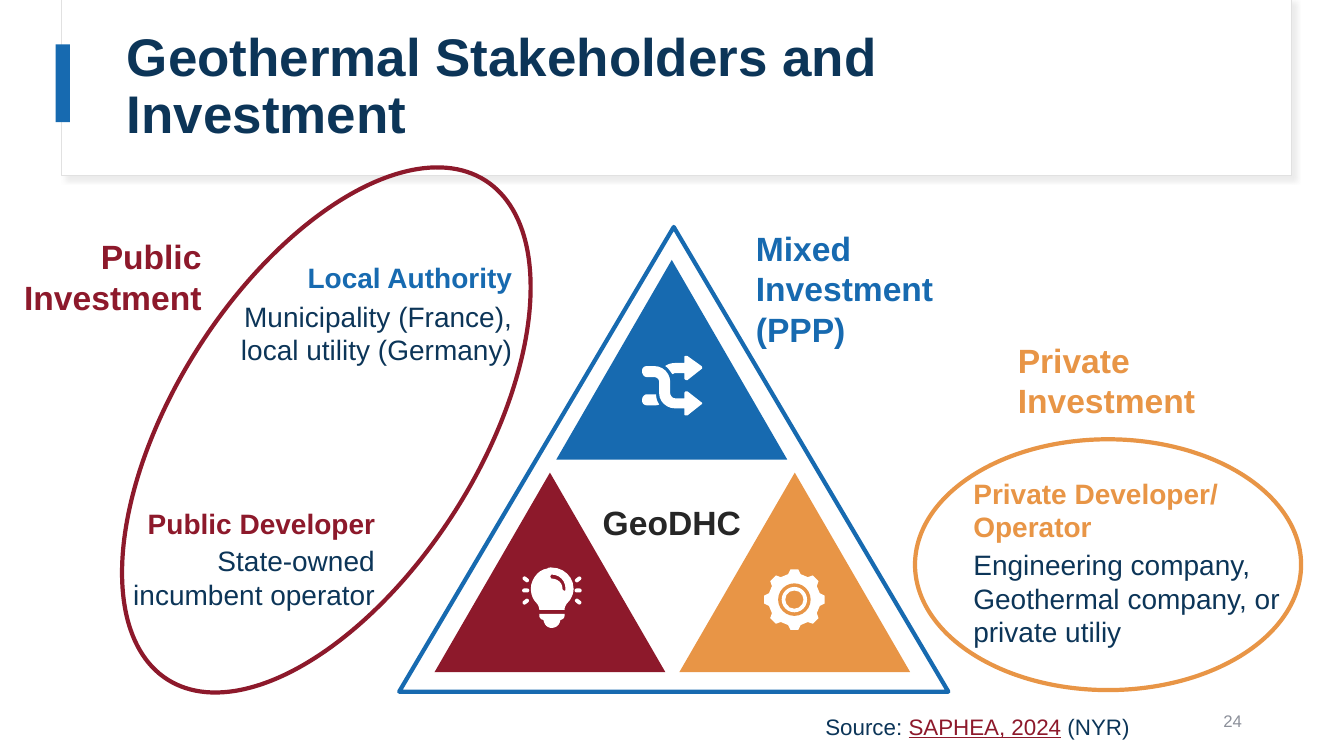
from dataclasses import dataclass
from math import cos, radians, sin

from lxml.etree import SubElement
from pptx import Presentation
from pptx.dml.color import RGBColor as Rgb
from pptx.enum.shapes import MSO_SHAPE as Preset
from pptx.enum.text import MSO_ANCHOR as Anchor, MSO_AUTO_SIZE as AutoSize, PP_ALIGN as Align
from pptx.oxml.ns import qn
from pptx.util import Cm, Pt


@dataclass(frozen=True)
class Theme:
    font: str = "Arial"
    navy: str = "0C3558"
    blue: str = "176AB0"
    red: str = "8D192B"
    orange: str = "E89546"
    ink: str = "262626"
    grey: str = "8C909A"
    edge: str = "E1E1E1"
    shade: str = "D9D9D9"
    white: str = "FFFFFF"
    title: float = 37.8
    label: float = 24
    body: float = 20
    source: float = 16
    number: float = 12
    outline: float = 3


theme = Theme()

TITLE = "Geothermal Stakeholders and\nInvestment"
CENTRE = "GeoDHC"
SOURCE = [("Source: ", theme.navy, False), ("SAPHEA, 2024", theme.red, True), (" (NYR)", theme.navy, False)]
PAGE = "24"

INVESTMENTS = [
    ("Public\nInvestment", theme.red, (0.3, 5.82, 5.03, 2.31), Align.RIGHT),
    ("Private\nInvestment", theme.orange, (25.4, 8.43, 5.03, 2.31), Align.LEFT),
    ("Mixed\nInvestment\n(PPP)", theme.blue, (18.8, 5.61, 5.03, 3.33), Align.LEFT),
]
STAKEHOLDERS = [
    ("Local Authority", theme.blue, (5.77, 6.4, 7.39, 1.17),
     "Municipality (France), local utility (Germany)", (4.93, 7.47, 8.23, 2.01), Align.RIGHT),
    ("Public Developer", theme.red, (3.28, 12.6, 6.43, 1.17),
     "State-owned incumbent operator", (2.54, 13.61, 7.16, 2.03), Align.RIGHT),
    ("Private Developer/ Operator", theme.orange, (24.28, 11.91, 7.39, 1.88),
     "Engineering company, Geothermal company, or private utiliy", (24.28, 13.82, 8.23, 2.77), Align.LEFT),
]
TRIANGLE = (5.82, 5.03)
TRIANGLES = [(14.02, 6.55, theme.blue), (10.95, 11.91, theme.red), (17.12, 11.91, theme.orange)]
RINGS = [((4.39, 3.38, 7.67, 14.91), 32.5, theme.red), ((23.06, 11.07, 9.73, 6.32), 0, theme.orange)]

SHUFFLE_AT = (16.18, 8.97)
SHUFFLE = [
    "M 5 10 C 2 10 0 12 0 15 C 0 18 2 21 5 21 L 12 21 C 15 21 17 23 17 26 L 17 37 C 17 45 24 52 33 52 "
    "L 42 52 L 42 58 C 42 59 43 59 44 59 L 45 59 L 59 48 C 60 48 60 46 59 46 L 45 35 L 44 35 "
    "C 43 35 42 36 42 37 L 42 42 L 33 42 C 30 42 28 39 28 37 L 28 26 C 28 17 21 10 12 10",
    "M 14 38 L 5 38 C 2 38 0 41 0 44 C 0 47 2 49 5 49 L 12 49 C 14 49 16 49 17 48 C 15 45 14 42 14 38",
    "M 44 0 C 43 0 42 0 42 1 L 42 7 L 33 7 C 29 7 26 8 23 10 C 26 12 28 15 30 18 C 31 18 32 17 33 17 "
    "L 42 17 L 42 22 C 42 23 43 24 44 24 L 45 24 L 59 13 C 60 13 60 11 59 10 L 45 0",
]
BULB_AT = (13.16, 14.3)
BULB = [
    "M 17 46 L 17 48 C 17 50 19 52 21 52 C 22 57 25 60 29 60 C 34 60 37 57 38 52 C 40 52 42 50 42 48 L 42 46",
    "M 29 0 C 28 0 26 0 25 1 C 17 2 11 9 9 17 C 8 23 9 30 14 35 C 16 37 17 40 17 42 L 42 42 "
    "C 42 40 43 37 45 35 C 49 31 51 26 51 21 C 51 9 41 0 29 0 "
    "M 29 7 C 37 7 43 13 43 21 C 43 22 43 23 42 23 C 41 23 40 22 40 21 C 40 15 35 11 29 11 "
    "C 29 11 28 10 28 9 C 28 8 29 7 29 7",
]
BULB_WIDTH = 1.5
RAY = (0.18, 0.1)
RAYS = [(0.3, 38), (0.58, 0), (0.86, -38)]
GEAR_CENTRE = (20.02, 15.11)
TOOTH = [(-0.16, 0.64), (-0.1, 0.76), (0.1, 0.76), (0.16, 0.64)]
TEETH = 8
HUB, COG_RING = 0.41, 0.32

deck = Presentation()
deck.slide_width, deck.slide_height = Cm(33.87), Cm(19.05)
slide = deck.slides.add_slide(deck.slide_layouts[6])


def paint(figure, fill=None, line=None, width=theme.outline):
    figure.shadow.inherit = False
    if fill:
        figure.fill.solid()
        figure.fill.fore_color.rgb = Rgb.from_string(fill)
    else:
        figure.fill.background()
    if line:
        figure.line.color.rgb = Rgb.from_string(line)
        figure.line.width = Pt(width)
    else:
        figure.line.fill.background()
    return figure


def draw(preset, place, **look):
    return paint(slide.shapes.add_shape(preset, *map(Cm, place)), **look)


def write(text, place, *, size, color=theme.navy, bold=False, align=Align.LEFT,
          anchor=Anchor.TOP, wrap=True, inset=0.13, spacing=None):
    box = slide.shapes.add_textbox(*map(Cm, place))
    frame = box.text_frame
    frame.word_wrap = wrap
    frame.auto_size = AutoSize.NONE if wrap else AutoSize.SHAPE_TO_FIT_TEXT
    frame.vertical_anchor = anchor
    frame.margin_top = frame.margin_bottom = Cm(inset)
    paragraph = frame.paragraphs[0]
    paragraph.alignment = align
    if spacing:
        paragraph.line_spacing = spacing
    pieces = [(text, color, False)] if isinstance(text, str) else text
    for words, tint, underline in pieces:
        for row, part in enumerate(words.split("\n")):
            if row:
                paragraph.add_line_break()
            run = paragraph.add_run()
            run.text = part
            run.font.name, run.font.size, run.font.bold = theme.font, Pt(size), bold
            run.font.underline = underline
            run.font.color.rgb = Rgb.from_string(tint)


def contours(outline, steps=6):
    for contour in outline.split("M")[1:]:
        start, *segments = contour.replace("C", "L").split("L")
        points = [tuple(map(int, start.split()))]
        for segment in segments:
            values = list(map(int, segment.split()))
            ends = list(zip(values[::2], values[1::2]))
            if len(ends) == 1:
                points += ends
                continue
            curve = [points[-1], *ends]
            for step in range(1, steps + 1):
                t = step / steps
                weights = ((1 - t) ** 3, 3 * t * (1 - t) ** 2, 3 * t * t * (1 - t), t ** 3)
                points.append(tuple(sum(w * p[axis] for w, p in zip(weights, curve)) for axis in (0, 1)))
        yield points


def trace(loops, at, unit):
    left, top = map(Cm, at)
    scaled = [[(left + x * unit, top + y * unit) for x, y in loop] for loop in loops]
    builder = slide.shapes.build_freeform(*scaled[0][0], scale=1.0)
    for index, loop in enumerate(scaled):
        if index:
            builder.move_to(*loop[0])
        builder.add_line_segments(loop[1:], close=True)
    paint(builder.convert_to_shape(), fill=theme.white)


def circle(radius):
    x, y = GEAR_CENTRE
    return x - radius, y - radius, 2 * radius, 2 * radius


card = draw(Preset.RECTANGLE, (1.55, 0, 31.01, 4.42), fill=theme.white, line=theme.edge, width=0.75)
effects = card._element.spPr.find(qn("a:effectLst"))
shadow = SubElement(effects, qn("a:outerShdw"), blurRad=str(Pt(4)), dist=str(Pt(3)), dir="2700000")
shade = SubElement(shadow, qn("a:srgbClr"), val=theme.shade)
SubElement(shade, qn("a:alpha"), val="50000")
draw(Preset.RECTANGLE, (1.4, 1.12, 0.36, 1.96), fill=theme.blue)
write(TITLE, (2.95, 0.58, 28.24, 3.25), size=theme.title, bold=True, anchor=Anchor.MIDDLE, spacing=0.9)

for left, top, tint in TRIANGLES:
    draw(Preset.ISOSCELES_TRIANGLE, (left, top, *TRIANGLE), fill=tint)
frame_triangle = draw(Preset.ISOSCELES_TRIANGLE, (10.06, 5.72, 13.84, 11.71), line=theme.blue)
frame_triangle.adjustments[0] = 0.5

for icon, at in ((SHUFFLE, SHUFFLE_AT), (BULB, BULB_AT)):
    for outline in icon:
        trace(list(contours(outline)), at, Cm(2.54) / 100)

for y, angle in RAYS:
    for x, turn in ((RAY[0] / 2, angle), (BULB_WIDTH - RAY[0] / 2, -angle)):
        ray = draw(Preset.ROUNDED_RECTANGLE,
                   (BULB_AT[0] + x - RAY[0] / 2, BULB_AT[1] + y - RAY[1] / 2, *RAY), fill=theme.white)
        ray.adjustments[0] = 0.5
        ray.rotation = turn

turns = [radians(360 / TEETH * tooth) for tooth in range(TEETH)]
cog = [(x * cos(a) + y * sin(a), x * sin(a) - y * cos(a)) for a in turns for x, y in TOOTH]
trace([cog], GEAR_CENTRE, Cm(1))
draw(Preset.OVAL, circle(HUB), fill=theme.orange)
draw(Preset.DONUT, circle(COG_RING), fill=theme.white).adjustments[0] = 0.14

for place, turn, tint in RINGS:
    draw(Preset.OVAL, place, line=tint).rotation = turn

for role, tint, role_place, examples, examples_place, side in STAKEHOLDERS:
    write(examples, examples_place, size=theme.body, align=side, anchor=Anchor.BOTTOM, inset=0.25)
    write(role, role_place, size=theme.body, color=tint, bold=True, align=side, anchor=Anchor.MIDDLE, inset=0.25)
for investment, tint, place, side in INVESTMENTS:
    write(investment, place, size=theme.label, color=tint, bold=True, align=side, wrap=False)
write(CENTRE, (14.94, 12.52, 4.04, 1.27), size=theme.label, color=theme.ink, bold=True, wrap=False)
write(SOURCE, (20.55, 17.83, 8.26, 0.94), size=theme.source, wrap=False)
write(PAGE, (23.93, 17.65, 7.62, 1.02), size=theme.number, color=theme.grey, align=Align.RIGHT, anchor=Anchor.MIDDLE)

deck.save("out.pptx")
